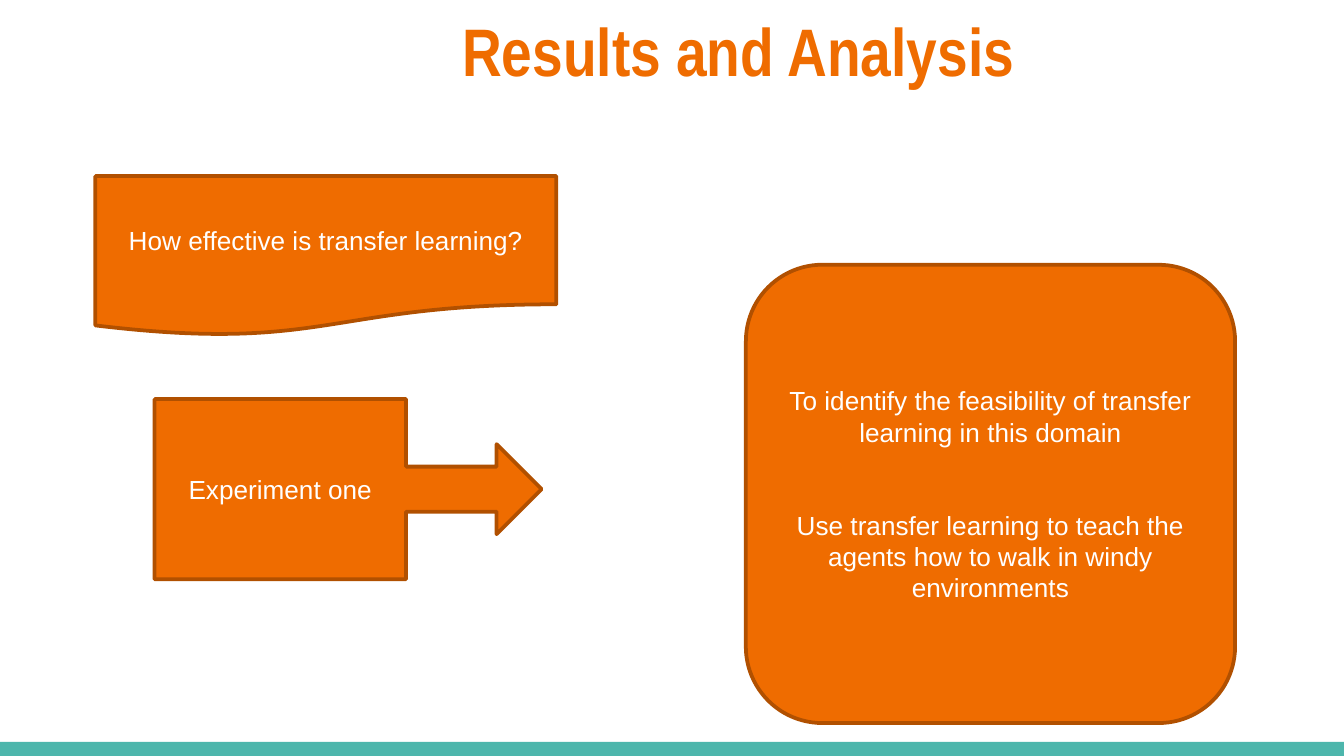
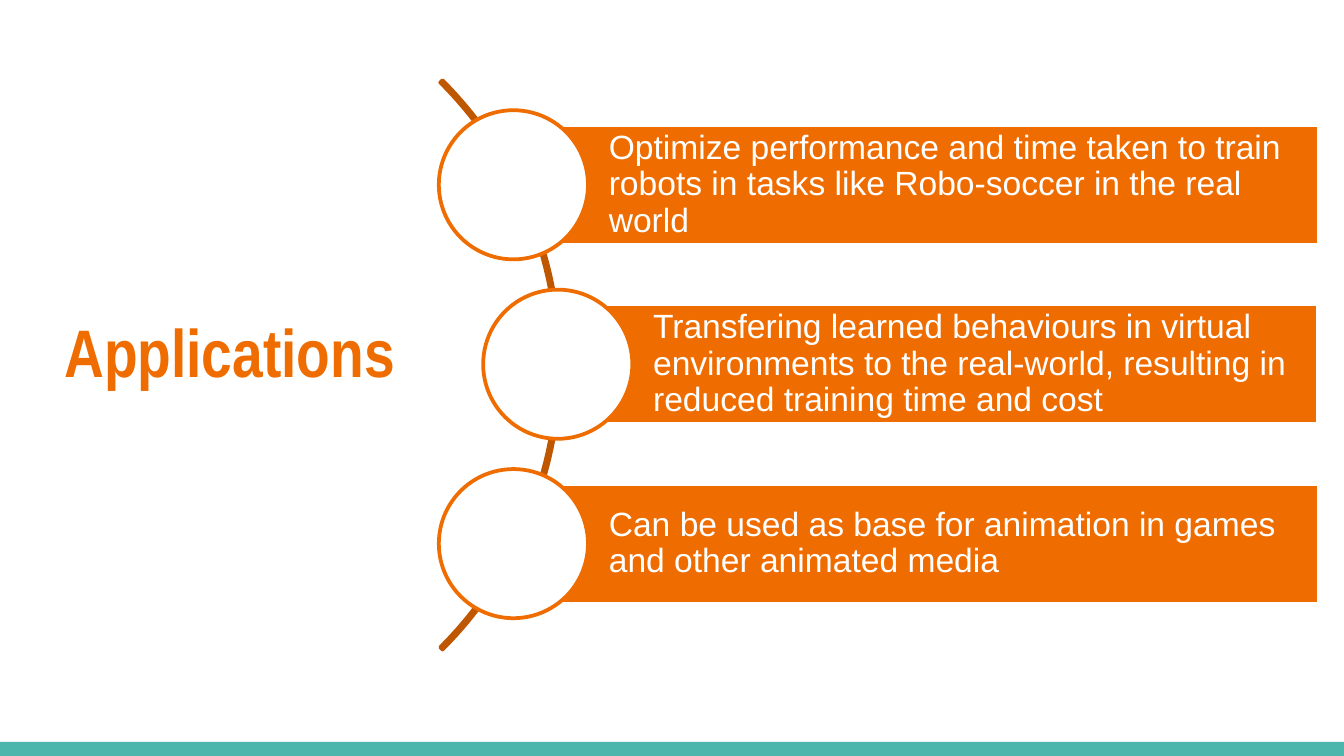
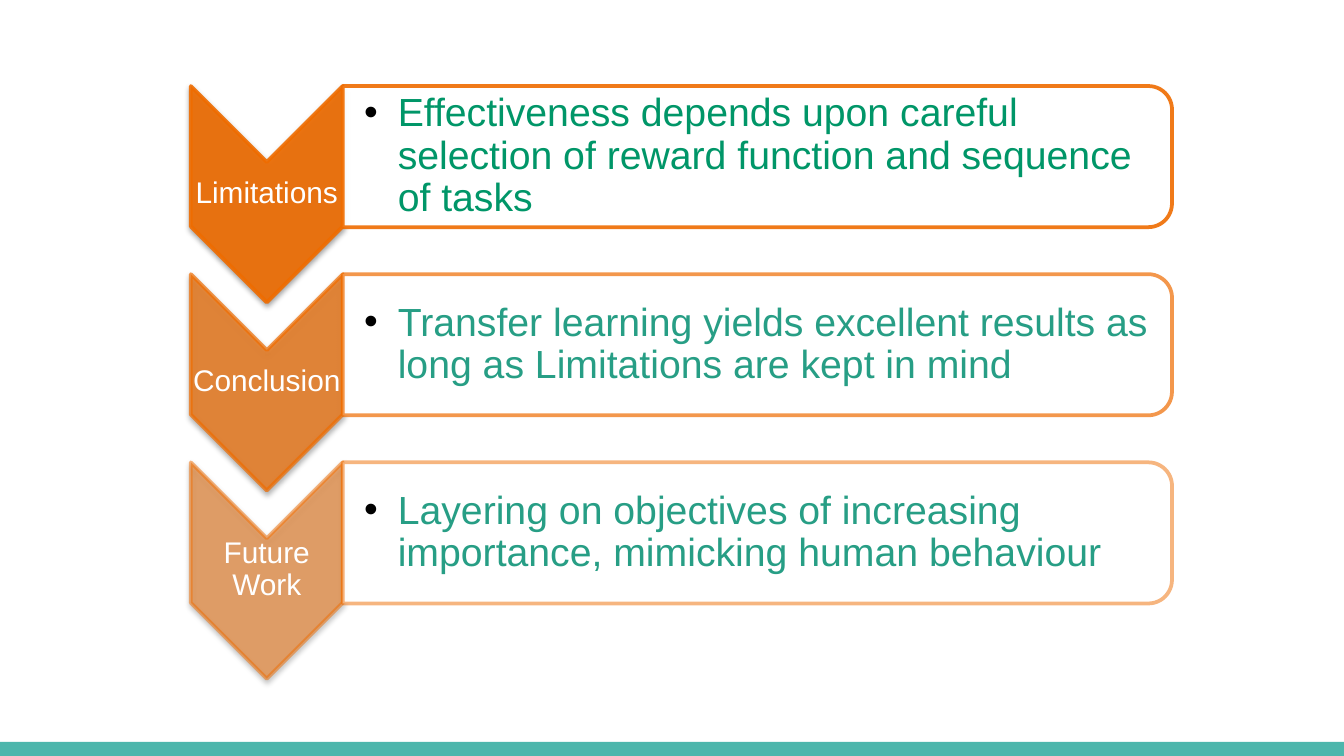
from pptx import Presentation
from pptx import util as u
from pptx.dml.color import RGBColor
from pptx.enum import shapes, text
from pptx.oxml import parse_xml
from pptx.oxml.ns import nsdecls, qn

ORANGE, DARK_ORANGE, ARC_ORANGE = "EF6C00", "B15000", "BF5600"
TEAL, WHITE, BLACK = "4DB6AC", "FFFFFF", "000000"
GREEN, SEA_GREEN = "009668", "279E85"
SHAPE = shapes.MSO_SHAPE
CENTER, LEFT = text.PP_ALIGN.CENTER, text.PP_ALIGN.LEFT
MIDDLE, TOP = text.MSO_ANCHOR.MIDDLE, text.MSO_ANCHOR.TOP

# preset, (left, top, width, height), paragraphs
RESULT_BOXES = [
    (SHAPE.FLOWCHART_DOCUMENT, (0.71, 1.31, 3.43, 1.19),
     ["How effective is transfer learning?"]),
    (SHAPE.ROUNDED_RECTANGLE, (5.55, 1.97, 3.64, 3.41),
     ["To identify the feasibility of transfer learning in this domain",
      "Use transfer learning to teach the agents how to walk in windy environments"]),
    (SHAPE.RIGHT_ARROW_CALLOUT, (1.15, 2.97, 2.88, 1.34), ["Experiment one"]),
]

# circle centre, application
APPLICATIONS = [
    (3.82, "Optimize performance and time taken to train robots in tasks like "
           "Robo-soccer in the real world"),
    (4.15, "Transfering learned behaviours in virtual environments to the real-world, "
           "resulting in reduced training time and cost"),
    (3.82, "Can be used as base for animation in games and other animated media"),
]

# label, statement, statement colour, opacity in percent
FINDINGS = [
    ("Limitations", "Effectiveness depends upon careful selection of reward function "
                    "and sequence of tasks", GREEN, 90),
    ("Conclusion", "Transfer learning yields excellent results as long as Limitations "
                   "are kept in mind", SEA_GREEN, 70),
    ("Future Work", "Layering on objectives of increasing importance, mimicking human "
                    "behaviour", SEA_GREEN, 50),
]


def rgb(value):
    return RGBColor.from_string(value)


def inches(values):
    return [u.Inches(value) for value in values]


def add_shape(slide, preset, box, fill=None, line=None, rotation=0):
    shape = slide.shapes.add_shape(preset, *inches(box))
    shape.shadow.inherit = False
    shape.rotation = rotation
    if fill:
        shape.fill.solid()
        shape.fill.fore_color.rgb = rgb(fill)
    else:
        shape.fill.background()
    if line:
        shape.line.color.rgb = rgb(line)
        shape.line.width = u.Pt(2)
    else:
        shape.line.fill.background()
    return shape


def add_turned_shape(slide, preset, box, fill, line):
    """Place a shape so that it covers box after a quarter turn."""
    left, top, width, height = box
    shift = (width - height) / 2
    return add_shape(slide, preset, (left + shift, top - shift, height, width),
                     fill, line, rotation=90)


def write(shape, paragraphs, size, color=WHITE, font="Arial", bold=False, align=LEFT,
          anchor=MIDDLE, insets=(0.1, 0.05, 0.1, 0.05), spacing=None, gap=0,
          indent=None, bullet=None):
    """Fill a shape with text; indent is (left margin, first line) in inches."""
    frame = shape.text_frame
    frame.word_wrap = True
    frame.vertical_anchor = anchor
    (frame.margin_left, frame.margin_top,
     frame.margin_right, frame.margin_bottom) = inches(insets)
    for index, content in enumerate(paragraphs):
        paragraph = frame.add_paragraph() if index else frame.paragraphs[0]
        properties = paragraph._p.get_or_add_pPr()
        if indent:
            for name, value in zip(("marL", "indent"), indent):
                properties.set(name, str(int(u.Inches(value))))
        if bullet:
            for tag in (f'<a:buClr {nsdecls("a")}><a:srgbClr val="{BLACK}"/></a:buClr>',
                        f'<a:buFont {nsdecls("a")} typeface="Arial"/>',
                        f'<a:buChar {nsdecls("a")} char="{bullet}"/>'):
                properties.append(parse_xml(tag))
        paragraph.alignment = align
        if spacing:
            paragraph.line_spacing = spacing
        if index:
            paragraph.space_before = u.Pt(gap)
        run = paragraph.add_run()
        run.text = content
        run.font.name = font
        run.font.size = u.Pt(size)
        run.font.bold = bold
        run.font.color.rgb = rgb(color)


def add_text(slide, box, paragraphs, size, **style):
    write(slide.shapes.add_textbox(*inches(box)), paragraphs, size, **style)


def add_title(slide, box, title, indent=0):
    add_text(slide, box, [title], 36, color=ORANGE, font="Arial Narrow", bold=True,
             anchor=TOP, insets=(0.1,) * 4, indent=(indent, 0))


def set_opacity(shape, fill_percent, line_percent):
    colors = shape._element.spPr.iter(qn("a:srgbClr"))
    for color, percent in zip(list(colors), (fill_percent, line_percent)):
        color.append(parse_xml(f'<a:alpha {nsdecls("a")} val="{percent * 1000}"/>'))


def add_shadow(shape):
    shape._element.spPr.find(qn("a:effectLst")).append(parse_xml(
        f'<a:outerShdw {nsdecls("a")} blurRad="{u.Pt(3.1)}" dist="{u.Pt(1.6)}" '
        f'dir="5400000" rotWithShape="0"><a:srgbClr val="{BLACK}">'
        '<a:alpha val="38000"/></a:srgbClr></a:outerShdw>'))


def add_slide(presentation):
    slide = presentation.slides.add_slide(presentation.slide_layouts[6])
    add_shape(slide, SHAPE.RECTANGLE, (0, 5.52, 10, 0.11), TEAL)
    return slide


def build_results(slide):
    add_title(slide, (0.26, -0.03, 9.32, 0.77), "Results and Analysis", indent=3.08)
    for preset, box, paragraphs in RESULT_BOXES:
        shape = add_shape(slide, preset, box, ORANGE, DARK_ORANGE)
        write(shape, paragraphs, 14, align=CENTER, gap=33)


def build_applications(slide):
    band_right, band_height, circle, pitch = 9.81, 0.89, 1.11, 1.335
    add_title(slide, (0.38, 2.21, 2.82, 1), "Applications")
    arc = add_shape(slide, SHAPE.BLOCK_ARC, (-1.82, -0.28, 5.99, 5.99), line=ARC_ORANGE)
    for index, value in enumerate((189, 27, 0.004)):
        arc.adjustments[index] = value
    for row, (center, application) in enumerate(APPLICATIONS):
        middle = 1.375 + row * pitch
        band = add_shape(slide, SHAPE.RECTANGLE,
                         (center, middle - band_height / 2, band_right - center, band_height),
                         ORANGE, WHITE)
        write(band, [application], 18, insets=(0.71, 0.05, 0.05, 0.05), spacing=0.9)
        add_shape(slide, SHAPE.OVAL,
                  (center - circle / 2, middle - circle / 2, circle, circle), WHITE, ORANGE)


def build_findings(slide):
    left, label_width, pitch = 1.42, 1.13, 1.4
    card_left = left + label_width
    for row, (label, statement, color, opacity) in enumerate(FINDINGS):
        top = 0.64 + row * pitch
        chevron = add_turned_shape(slide, SHAPE.CHEVRON, (left, top, label_width, 1.61),
                                   ORANGE, ORANGE)
        set_opacity(chevron, opacity, opacity)
        add_shadow(chevron)
        add_text(slide, (left, top + 0.56, label_width, 0.48), [label], 16,
                 align=CENTER, insets=(0.01,) * 4, spacing=0.9)
        card = add_turned_shape(slide, SHAPE.ROUND_2_SAME_RECTANGLE,
                                (card_left, top, 6.17, 1.05), WHITE, ORANGE)
        set_opacity(card, 90, opacity)
        add_text(slide, (card_left, top + 0.05, 6.12, 0.95), [statement], 21, color=color,
                 insets=(0.16, 0.01, 0.01, 0.01), spacing=0.9,
                 indent=(0.25, -0.25), bullet="•")


def main():
    presentation = Presentation()
    presentation.slide_width, presentation.slide_height = inches((10, 5.625))
    for build in (build_results, build_applications, build_findings):
        build(add_slide(presentation))
    presentation.save("out.pptx")


if __name__ == "__main__":
    main()
